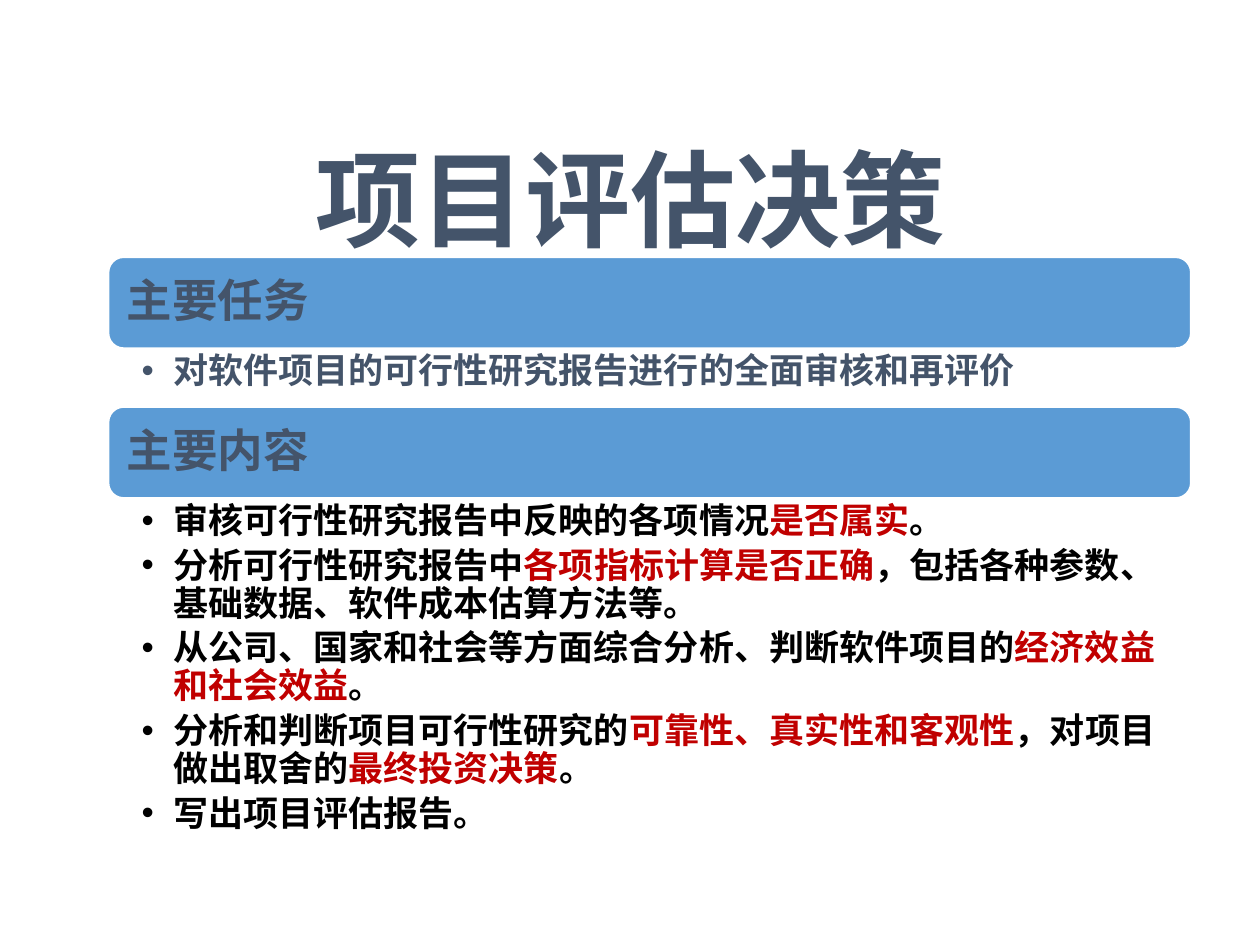
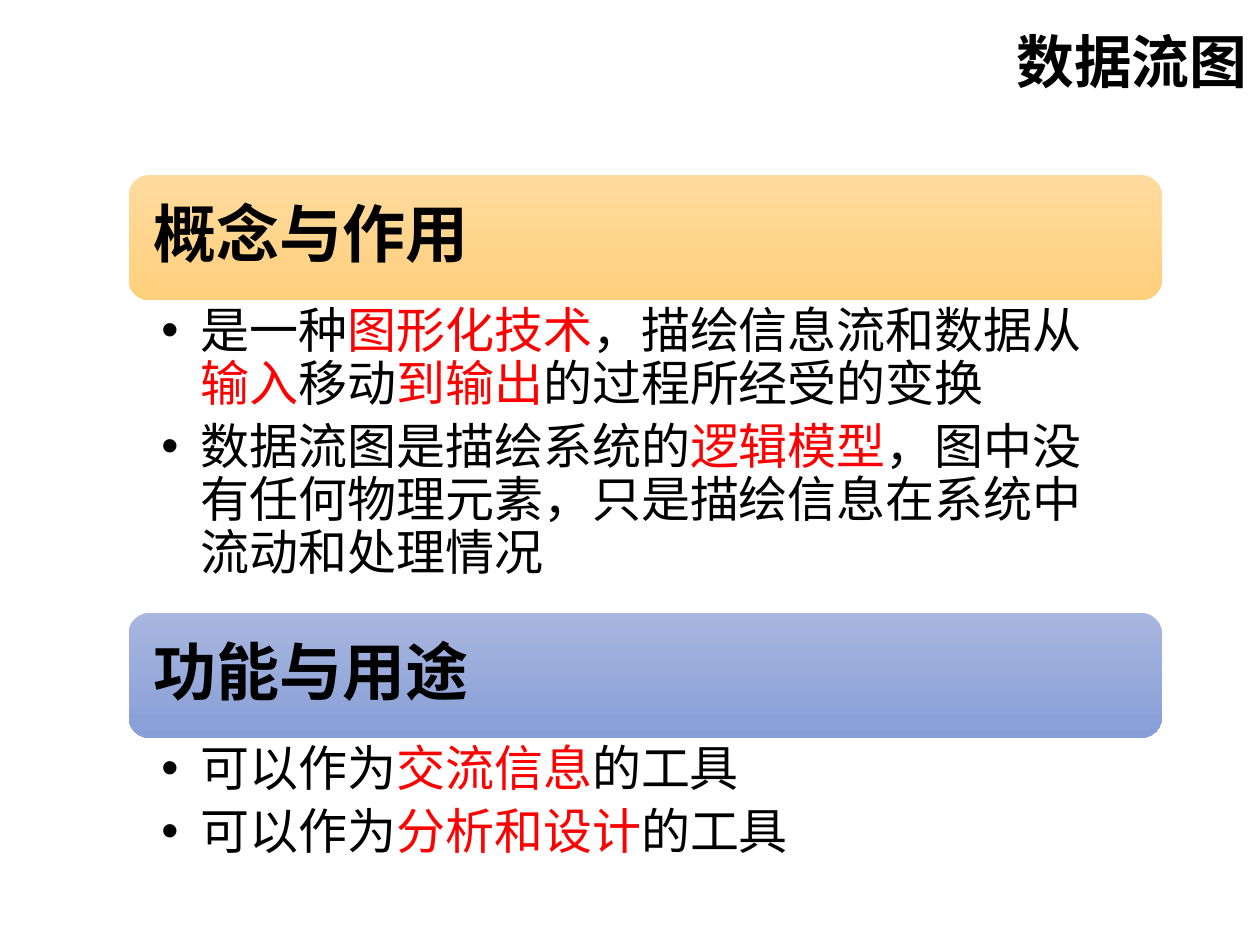
from dataclasses import dataclass

from lxml.etree import SubElement
from pptx import Presentation
from pptx.dml.color import RGBColor
from pptx.enum.shapes import MSO_SHAPE as Shape
from pptx.enum.text import MSO_ANCHOR as Anchor, MSO_AUTO_SIZE as AutoSize, PP_ALIGN as Align
from pptx.oxml.ns import qn
from pptx.util import Pt

FONT = "Calibri"
BLACK, WHITE, SLATE = "000000", "FFFFFF", "44546A"
TWO_CONTENT = 3  # layout with a title and two bodies


@dataclass
class Style:
    """Look of a stack of headed lists; lengths in points."""
    band_height: float
    band_inset: float
    band_size: float
    band_color: str
    list_size: float
    accent: str
    list_insets: tuple  # left, top, right, bottom
    hanging: float
    outline: str = ""


REVIEW = Style(52, 8, 26, SLATE, 20, "C00000", (19, 3, 14.5, 3), 18, WHITE)
DIAGRAM = Style(71.5, 10.8, 36, BLACK, 28, "FF0000", (18.7, 3.6, 20, 3.6), 22.5)


def rgb(value):
    return RGBColor.from_string(value)


def place(shape, box):
    shape.left, shape.top, shape.width, shape.height = (Pt(v) for v in box)


def set_frame(frame, insets, anchor):
    frame.word_wrap = True
    frame.auto_size = AutoSize.NONE
    frame.vertical_anchor = anchor
    (frame.margin_left, frame.margin_top,
     frame.margin_right, frame.margin_bottom) = (Pt(v) for v in insets)


def write(para, text, *, size, color=BLACK, accent=None, bold=False, font=FONT,
          align=Align.LEFT, spacing=0.9, after=0):
    """Fill a paragraph; parts between asterisks take the accent colour."""
    para.alignment = align
    para.line_spacing = spacing
    para.space_before = Pt(0)
    para.space_after = Pt(after)
    for index, part in enumerate(text.split("*")):
        if part:
            span = para.add_run()
            span.text = part
            span.font.name = font
            span.font.size = Pt(size)
            span.font.bold = bold
            span.font.color.rgb = rgb(accent if index % 2 else color)


def add_bullet(para, hanging):
    props = para._p.get_or_add_pPr()
    props.set("marL", str(Pt(hanging)))
    props.set("indent", str(-Pt(hanging)))
    SubElement(props, qn("a:buChar")).set("char", "•")


def add_title(page, text, box, anchor, **look):
    title = page.shapes.title
    place(title, box)
    set_frame(title.text_frame, (7.2, 3.6, 7.2, 3.6), anchor)
    write(title.text_frame.paragraphs[0], text, bold=True, **look)


def add_band(page, text, box, colors, style):
    band = page.shapes.add_shape(Shape.ROUNDED_RECTANGLE, *(Pt(v) for v in box))
    band.shadow.inherit = False
    if len(colors) == 1:
        band.fill.solid()
        band.fill.fore_color.rgb = rgb(colors[0])
    else:
        band.fill.gradient()
        band.fill.gradient_angle = 270  # top to bottom
        for stop, color in zip(band.fill.gradient_stops, colors):
            stop.color.rgb = rgb(color)
    if style.outline:
        band.line.color.rgb = rgb(style.outline)
        band.line.width = Pt(1)
    else:
        band.line.fill.background()
    set_frame(band.text_frame, [style.band_inset] * 4, Anchor.MIDDLE)
    write(band.text_frame.paragraphs[0], text, size=style.band_size,
          color=style.band_color, bold=True)


def add_list(body, items, box, style, **look):
    place(body, box)
    frame = body.text_frame
    set_frame(frame, style.list_insets, Anchor.TOP)
    for index, item in enumerate(items):
        para = frame.add_paragraph() if index else frame.paragraphs[0]
        write(para, item, size=style.list_size, accent=style.accent,
              after=0.2 * style.list_size, **look)
        add_bullet(para, style.hanging)


def add_sections(page, left, top, width, style, sections):
    """Stack bands, each followed by its list, from the top down."""
    bodies = list(page.placeholders)[1:]
    for body, (heading, colors, height, items, look) in zip(bodies, sections):
        add_band(page, heading, (left, top, width, style.band_height), colors, style)
        top += style.band_height
        add_list(body, items, (left, top, width, height), style, **look)
        top += height


def build_review(page):
    add_title(page, "项目评估决策", (0, 73.5, 720, 84), Anchor.TOP, size=60,
              color=SLATE, font="DejaVu Sans", align=Align.CENTER, spacing=1.0)
    blue = ["5B9BD5"]
    add_sections(page, 62, 147, 618.5, REVIEW, [
        ("主要任务", blue, 33.6, ["对软件项目的可行性研究报告进行的全面审核和再评价"],
         {"color": SLATE, "bold": True}),
        ("主要内容", blue, 216, [
            "审核可行性研究报告中反映的各项情况*是否属实*。",
            "分析可行性研究报告中*各项指标计算是否正确*，包括各种参数、基础数据、软件成本估算方法等。",
            "从公司、国家和社会等方面综合分析、判断软件项目的*经济效益和社会效益*。",
            "分析和判断项目可行性研究的*可靠性、真实性和客观性*，对项目做出取舍的*最终投资决策*。",
            "写出项目评估报告。",
        ], {"bold": True}),
    ])


def build_diagram(page):
    add_title(page, "数据流图", (50.4, 0, 669.6, 74), Anchor.MIDDLE, size=33,
              align=Align.RIGHT)
    add_sections(page, 73.5, 100, 590.5, DIAGRAM, [
        ("概念与作用", ["FFDB9E", "FFD07C"], 178.7, [
            "是一种*图形化技术*，描绘信息流和数据从*输入*移动*到输出*的过程所经受的变换",
            "数据流图是描绘系统的*逻辑模型*，图中没有任何物理元素，只是描绘信息在系统中流动和处理情况",
        ], {}),
        ("功能与用途", ["A8B7DF", "889ED7"], 80.6, [
            "可以作为*交流信息*的工具",
            "可以作为*分析和设计*的工具",
        ], {}),
    ])


def main():
    deck = Presentation()
    deck.slide_width, deck.slide_height = Pt(720), Pt(540)
    for build in (build_review, build_diagram):
        build(deck.slides.add_slide(deck.slide_layouts[TWO_CONTENT]))
    deck.save("out.pptx")


if __name__ == "__main__":
    main()
